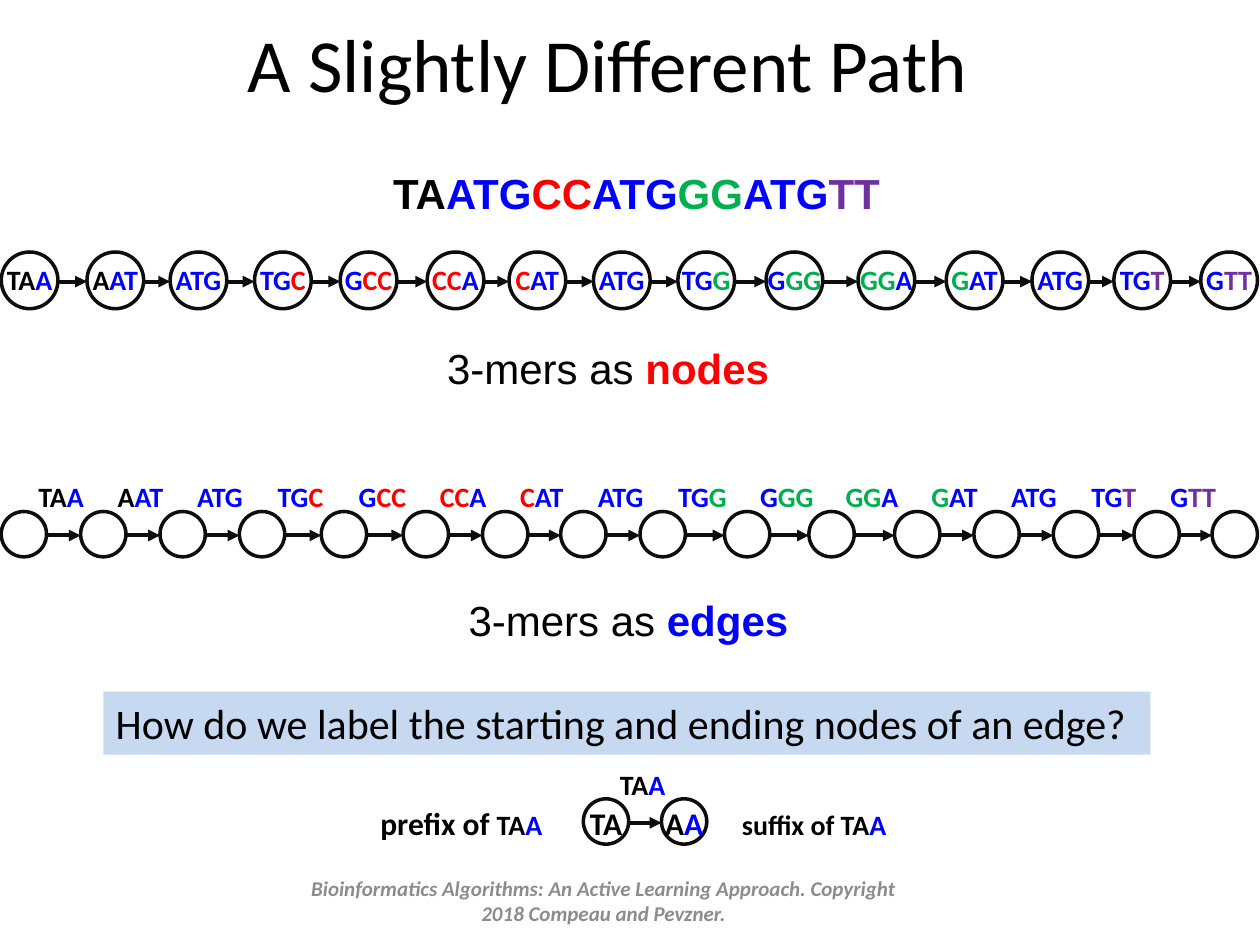
"""Build the slide that shows 3-mers as nodes and as edges of a path."""
from dataclasses import dataclass
from itertools import groupby
from typing import NamedTuple, Optional

from lxml.etree import SubElement
from pptx import Presentation
from pptx.dml.color import RGBColor
from pptx.enum.shapes import MSO_CONNECTOR, MSO_SHAPE
from pptx.enum.text import MSO_ANCHOR, PP_ALIGN
from pptx.oxml.ns import qn
from pptx.util import Inches, Pt


@dataclass(frozen=True)
class Theme:
    """Colours, fonts and type sizes of the slide."""
    black: str = "000000"
    blue: str = "0000FF"
    red: str = "FF0000"
    green: str = "00B050"
    purple: str = "7030A0"
    ink: str = "0D0D0D"
    panel: str = "C6D9F1"
    grey: str = "8C8C8C"
    sans: str = "Calibri"
    arial: str = "Arial"
    title: float = 42.9
    body: float = 24
    node: float = 18
    label: float = 16
    footer: float = 12


T = Theme()


class Run(NamedTuple):
    """A piece of text with its own format."""
    text: str
    color: str = T.black
    bold: bool = True
    size: Optional[float] = None


class Box(NamedTuple):
    """A frame in inches."""
    left: float
    top: float
    width: float
    height: float


@dataclass(frozen=True)
class Chain:
    """A row of circles joined by arrows, with labels on nodes or edges."""
    lefts: list
    top: float
    size: float
    nodes: list
    edges: list
    node_size: float = T.label


def write(tf, runs, *, size, font=T.sans, align=PP_ALIGN.LEFT, wrap=True,
          anchor=MSO_ANCHOR.TOP, italic=False, inset=0.1, right=0.1):
    """Fill a text frame with one paragraph of formatted runs."""
    tf.word_wrap, tf.vertical_anchor = wrap, anchor
    tf.margin_left, tf.margin_right = Inches(inset), Inches(right)
    p = tf.paragraphs[0]
    p.alignment = align
    for run in runs:
        r = p.add_run()
        r.text = run.text
        r.font.name, r.font.size = font, Pt(run.size or size)
        r.font.bold, r.font.italic = run.bold, italic
        r.font.color.rgb = RGBColor.from_string(run.color)


def emu(box: Box) -> list:
    """Turn a frame in inches into lengths."""
    return [Inches(v) for v in box]


def add_text(s, box: Box, runs, **fmt):
    """Add a text box."""
    write(s.shapes.add_textbox(*emu(box)).text_frame, runs, **fmt)


def add_label(s, center: float, top: float, runs, size: float):
    """Add a short text centred on a point."""
    add_text(s, Box(center - 0.32, top, 0.64, 0.37), runs, size=size,
             align=PP_ALIGN.CENTER, wrap=False, inset=0.02, right=0.02)


def add_circle(s, left: float, top: float, size: float):
    """Add an outlined circle."""
    sp = s.shapes.add_shape(MSO_SHAPE.OVAL, *emu(Box(left, top, size, size)))
    sp.shadow.inherit = False
    sp.fill.background()
    sp.line.color.rgb = RGBColor.from_string(T.ink)
    sp.line.width = Pt(2)


def add_arrow(s, x1: float, x2: float, y: float):
    """Add a horizontal arrow."""
    cx = s.shapes.add_connector(MSO_CONNECTOR.STRAIGHT, Inches(x1), Inches(y),
                                Inches(x2), Inches(y))
    cx.line.color.rgb = RGBColor.from_string(T.ink)
    cx.line.width = Pt(2.25)
    SubElement(cx.line._get_or_add_ln(), qn("a:tailEnd"), type="triangle")
    SubElement(cx._element.spPr, qn("a:effectLst"))


def add_chain(s, chain: Chain):
    """Draw the circles, arrows and labels of a chain."""
    for left in chain.lefts:
        add_circle(s, left, chain.top, chain.size)
    gaps = [(a + chain.size, b) for a, b in zip(chain.lefts, chain.lefts[1:])]
    for start, end in gaps:
        add_arrow(s, start, end, chain.top + chain.size / 2 + 0.01)
    for left, runs in zip(chain.lefts, chain.nodes):
        middle = chain.top + chain.size / 2
        add_label(s, left + chain.size / 2, middle - 0.19, runs, chain.node_size)
    for (start, end), runs in zip(gaps, chain.edges):
        add_label(s, (start + end) / 2 - 0.02, chain.top - 0.3, runs, T.label)


def kmers(segments, k: int) -> list:
    """Slide a window of k letters over coloured segments."""
    letters = [(c, seg.color) for seg in segments for c in seg.text]
    windows = [letters[i:i + k] for i in range(len(letters) - k + 1)]
    return [[Run("".join(c for c, _ in group), color)
             for color, group in groupby(w, key=lambda item: item[1])]
            for w in windows]


def main():
    """Build and save the slide."""
    prs = Presentation()
    prs.slide_width, prs.slide_height = Inches(10), Inches(7.5)
    s = prs.slides.add_slide(prs.slide_layouts[5])

    title = s.shapes.title
    title.left, title.top, title.width, title.height = emu(Box(0.52, 0.08, 9, 0.83))
    write(title.text_frame, [Run("A Slightly Different Path", bold=False)], size=T.title,
          align=PP_ALIGN.CENTER, anchor=MSO_ANCHOR.MIDDLE, right=0.5)

    genome = [Run("TA"), Run("ATG", T.blue), Run("CC", T.red), Run("ATG", T.blue),
              Run("GG", T.green), Run("ATG", T.blue), Run("TT", T.purple)]
    add_text(s, Box(2.93, 1.28, 4.25, 0.5), genome, size=T.body, font=T.arial, inset=0.19)

    triples = kmers(genome, 3)
    node_lefts = [0.01, 0.69, 1.35, 2.02, 2.7, 3.39, 4.04, 4.71,
                  5.38, 6.08, 6.81, 7.51, 8.19, 8.84, 9.53]
    edge_lefts = [0.01, 0.64, 1.27, 1.9, 2.55, 3.2, 3.83, 4.45,
                  5.08, 5.75, 6.42, 7.1, 7.73, 8.36, 9, 9.62]
    taa = triples[0]
    for chain in (Chain(node_lefts, 2, 0.45, triples, []),
                  Chain(edge_lefts, 4.06, 0.36, [], triples),
                  Chain([4.63, 5.25], 6.34, 0.36, kmers(taa, 2), [taa], T.node)):
        add_chain(s, chain)

    for left, top, word, color in ((3.45, 2.67, "nodes", T.red), (3.62, 4.67, "edges", T.blue)):
        add_text(s, Box(left, top, 2.85, 0.5),
                 [Run("3-mers as ", bold=False), Run(word, color)], size=T.body, font=T.arial)

    panel = s.shapes.add_shape(MSO_SHAPE.RECTANGLE, *emu(Box(0.82, 5.49, 8.31, 0.5)))
    panel.shadow.inherit = False
    panel.fill.solid()
    panel.fill.fore_color.rgb = RGBColor.from_string(T.panel)
    panel.line.fill.background()
    question = "How do we label the starting and ending nodes of an edge?"
    write(panel.text_frame, [Run(question, bold=False)], size=T.body)

    add_text(s, Box(2.92, 6.33, 1.53, 0.4), [Run("prefix of ", size=T.node), *taa],
             size=T.label, wrap=False)
    add_text(s, Box(5.79, 6.36, 1.39, 0.37), [Run("suffix of "), *taa],
             size=T.label, wrap=False)
    credit = ("Bioinformatics Algorithms: An Active Learning Approach. "
              "Copyright 2018 Compeau and Pevzner.")
    add_text(s, Box(2.25, 6.95, 5.08, 0.4), [Run(credit, T.grey)], size=T.footer,
             align=PP_ALIGN.CENTER, anchor=MSO_ANCHOR.MIDDLE, italic=True)

    prs.save("out.pptx")


if __name__ == "__main__":
    main()
